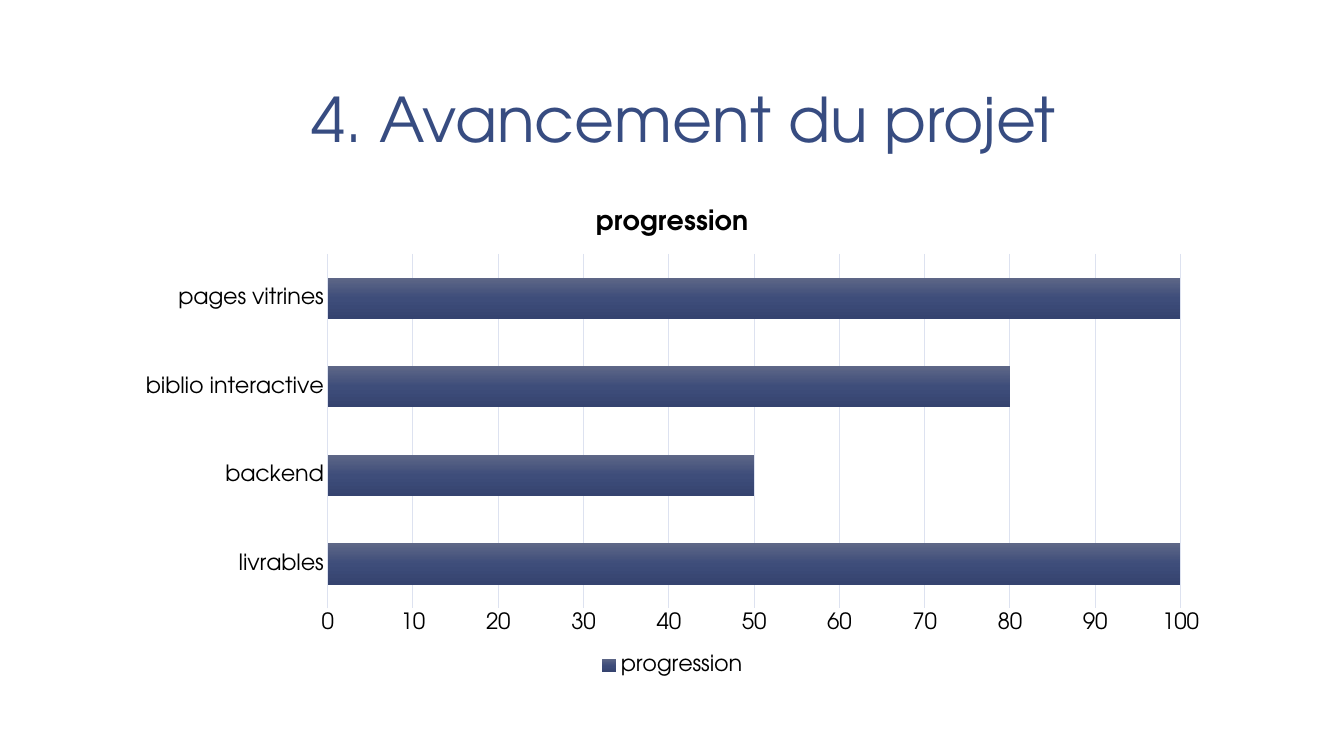
import copy
from dataclasses import dataclass
from typing import Any

import pptx
import pptx.chart.data
import pptx.dml.color
import pptx.enum.chart
import pptx.enum.text
import pptx.util

Pt = pptx.util.Pt
RGB = pptx.dml.color.RGBColor.from_string


@dataclass(frozen=True)
class Theme:
    font: str = "TeX Gyre Adventor"
    title_size: float = 44
    chart_title_size: float = 19.2
    label_size: float = 16
    title_color: str = "374C81"
    text_color: str = "000000"
    grid_color: str = "DDE2F0"
    bar_colors: tuple[str, ...] = ("5E6787", "3E4D7A", "35436F")


@dataclass(frozen=True)
class Frame:
    left: float
    top: float
    width: float
    height: float

    def lengths(self) -> list[int]:
        return [Pt(value) for value in (self.left, self.top, self.width, self.height)]


@dataclass(frozen=True)
class Task:
    name: str
    percent: int


THEME = Theme()
TITLE_FRAME = Frame(88.5, 5.75, 800, 110.25)
CHART_FRAME = Frame(88.5, 134, 783.5, 352)
TASKS = [
    Task("livrables", 100),
    Task("backend", 50),
    Task("biblio interactive", 80),
    Task("pages vitrines", 100),
]


def apply(target: Any, formats: dict[str, Any]) -> None:
    for name, value in formats.items():
        setattr(target, name, value)


def style_font(font: Any, size: float, color: str, bold: bool = False) -> None:
    apply(font, {"name": THEME.font, "size": Pt(size), "bold": bold})
    font.color.rgb = RGB(color)


def style_line(line: Any, width: float) -> None:
    line.color.rgb = RGB(THEME.grid_color)
    line.width = Pt(width)


def fill_bars(series: Any) -> None:
    fill = series.format.fill
    fill.gradient()
    fill.gradient_angle = 270
    # The default gradient has two stops; insert a middle one
    first_stop = series._element.xpath(".//a:gs")[0]
    first_stop.addnext(copy.deepcopy(first_stop))
    last = len(THEME.bar_colors) - 1
    for index, (stop, color) in enumerate(zip(fill.gradient_stops, THEME.bar_colors)):
        stop.color.rgb = RGB(color)
        stop.position = index / last


def add_title(page: Any, text: str) -> None:
    box = page.shapes.title
    apply(box, dict(zip(("left", "top", "width", "height"), TITLE_FRAME.lengths())))
    apply(box.text_frame, {
        "text": text,
        "word_wrap": True,
        "auto_size": pptx.enum.text.MSO_AUTO_SIZE.NONE,
        "vertical_anchor": pptx.enum.text.MSO_ANCHOR.BOTTOM,
        "margin_left": Pt(9.5), "margin_right": Pt(9.5),
        "margin_top": Pt(5), "margin_bottom": Pt(5),
    })
    para = box.text_frame.paragraphs[0]
    apply(para, {"alignment": pptx.enum.text.PP_ALIGN.CENTER, "line_spacing": 0.85})
    style_font(para.runs[0].font, THEME.title_size, THEME.title_color)


def add_progress_chart(page: Any, name: str, tasks: list[Task]) -> None:
    data = pptx.chart.data.CategoryChartData()
    data.categories = [task.name for task in tasks]
    data.add_series(name, [task.percent for task in tasks])
    chart = page.shapes.add_chart(
        pptx.enum.chart.XL_CHART_TYPE.BAR_CLUSTERED, *CHART_FRAME.lengths(), data
    ).chart
    style_font(chart.font, THEME.label_size, THEME.text_color)

    # Chart title and legend
    chart.has_title = True
    chart.chart_title.text_frame.text = name
    span = chart.chart_title.text_frame.paragraphs[0].runs[0]
    style_font(span.font, THEME.chart_title_size, THEME.text_color, bold=True)
    chart.has_legend = True
    apply(chart.legend, {
        "position": pptx.enum.chart.XL_LEGEND_POSITION.BOTTOM,
        "include_in_layout": False,
    })
    style_font(chart.legend.font, THEME.label_size, THEME.text_color)

    # Axes
    no_tick = pptx.enum.chart.XL_TICK_MARK.NONE
    for axis in (chart.category_axis, chart.value_axis):
        apply(axis, {"major_tick_mark": no_tick, "minor_tick_mark": no_tick})
        style_font(axis.tick_labels.font, THEME.label_size, THEME.text_color)
    style_line(chart.category_axis.format.line, 1)
    apply(chart.value_axis, {
        "minimum_scale": 0, "maximum_scale": 100, "major_unit": 10,
        "has_major_gridlines": True,
    })
    chart.value_axis.format.line.fill.background()
    style_line(chart.value_axis.major_gridlines.format.line, 0.75)

    # Bars
    plot = chart.plots[0]
    apply(plot, {"gap_width": 115, "overlap": -20, "vary_by_categories": False})
    fill_bars(plot.series[0])


def main() -> None:
    deck = pptx.Presentation()
    apply(deck, {"slide_width": Pt(960), "slide_height": Pt(540)})
    page = deck.slides.add_slide(deck.slide_layouts.get_by_name("Title Only"))
    add_title(page, "4. Avancement du projet")
    add_progress_chart(page, "progression", TASKS)
    deck.save("out.pptx")


if __name__ == "__main__":
    main()
